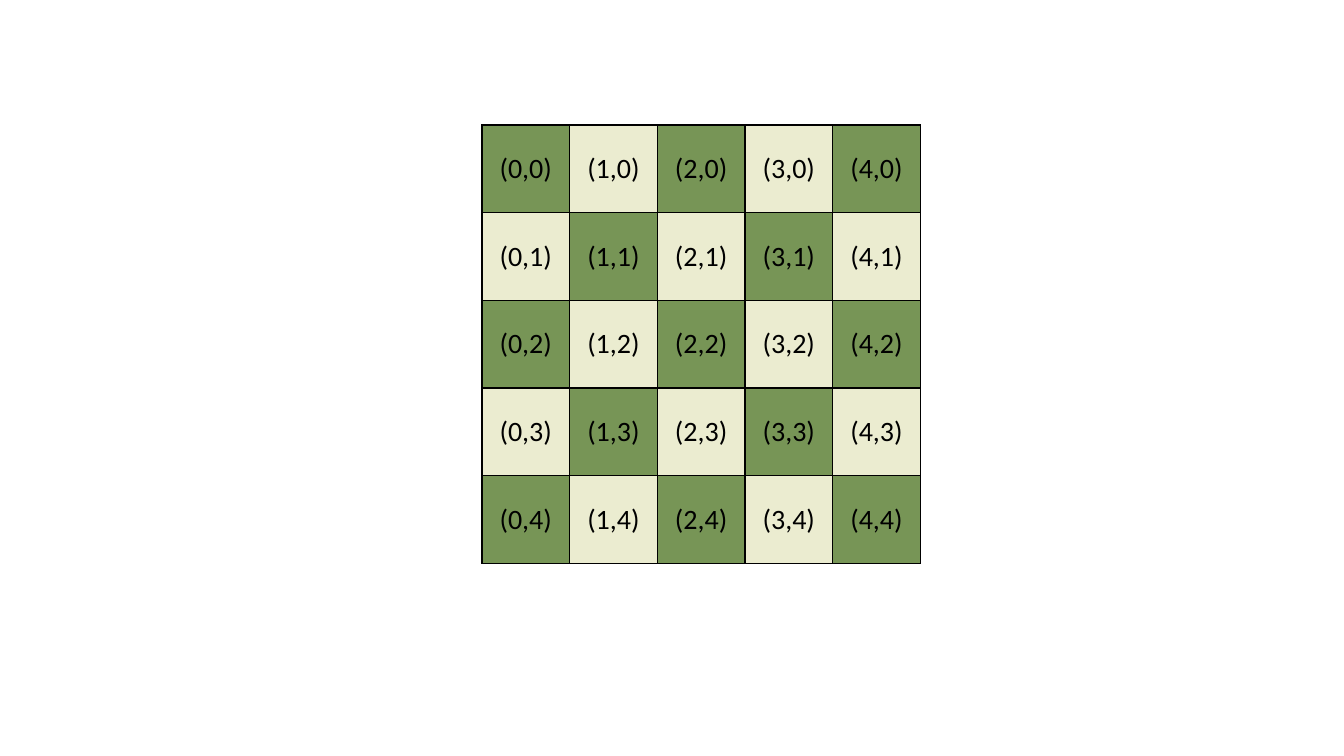
from lxml.etree import SubElement
from pptx import Presentation
from pptx.dml.color import RGBColor
from pptx.enum.text import MSO_ANCHOR, PP_ALIGN
from pptx.oxml.ns import qn
from pptx.util import Inches, Pt

GREEN = RGBColor(0x77, 0x95, 0x56)
CREAM = RGBColor(0xEB, 0xEC, 0xD0)
BLACK = RGBColor(0x00, 0x00, 0x00)
SIZE = 5
SQUARE = Inches(0.87)


def add_borders(cell):
    properties = cell._tc.get_or_add_tcPr()
    for side in ("lnL", "lnR", "lnT", "lnB"):
        line = SubElement(properties, qn(f"a:{side}"), w=str(Pt(1)))
        fill = SubElement(line, qn("a:solidFill"))
        SubElement(fill, qn("a:srgbClr"), val=str(BLACK))


deck = Presentation()
deck.slide_width = Inches(13.33)
deck.slide_height = Inches(7.5)
page = deck.slides.add_slide(deck.slide_layouts[6])

board = page.shapes.add_table(
    SIZE, SIZE, Inches(4.78), Inches(1.24), SQUARE * SIZE, SQUARE * SIZE
).table
board.first_row = False
board.horz_banding = False

for index in range(SIZE):
    board.columns[index].width = SQUARE
    board.rows[index].height = SQUARE

for y in range(SIZE):
    for x in range(SIZE):
        cell = board.cell(y, x)
        add_borders(cell)
        cell.fill.solid()
        cell.fill.fore_color.rgb = CREAM if (x + y) % 2 else GREEN
        cell.vertical_anchor = MSO_ANCHOR.MIDDLE
        para = cell.text_frame.paragraphs[0]
        para.alignment = PP_ALIGN.CENTER
        span = para.add_run()
        span.text = f"({x},{y})"
        span.font.name = "Calibri"
        span.font.size = Pt(20)
        span.font.color.rgb = BLACK

deck.save("out.pptx")
